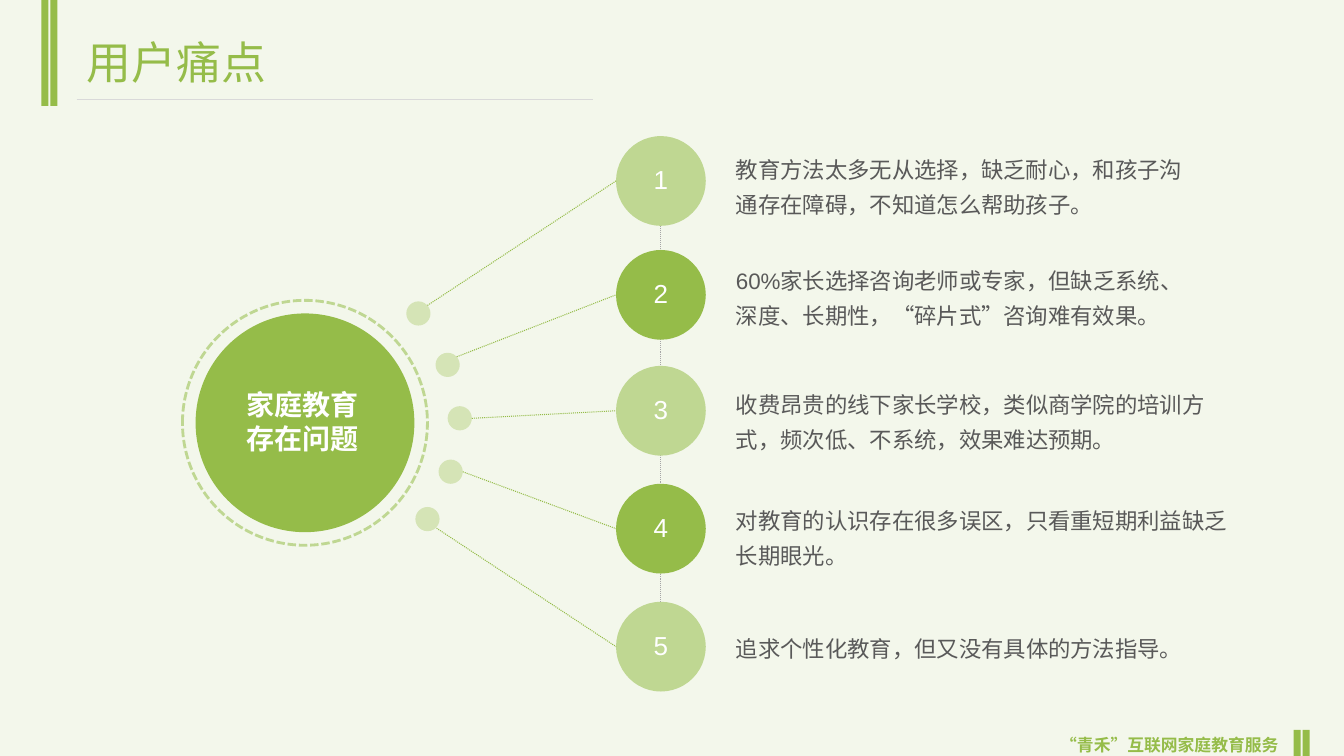
from lxml import etree
from pptx import Presentation
from pptx.dml.color import RGBColor
from pptx.enum.dml import MSO_LINE
from pptx.enum.shapes import MSO_CONNECTOR, MSO_SHAPE
from pptx.enum.text import MSO_ANCHOR, PP_ALIGN
from pptx.oxml.ns import qn
from pptx.util import Inches, Pt

COLORS = {
    "background": "F3F7EB", "green": "95BC49", "light": "BFD792", "pale": "D5E4B6",
    "white": "FFFFFF", "text": "595959", "rule": "D9D9D9", "spine": "A6A6A6",
}
CJK = "Noto Sans CJK SC"

# Top of the numbered circle, top and size of its text, the text itself
POINTS = [
    (1.35, 1.42, 4.8, 0.8, "教育方法太多无从选择，缺乏耐心，和孩子沟通存在障碍，不知道怎么帮助孩子。"),
    (2.48, 2.52, 4.8, 0.8, "60%家长选择咨询老师或专家，但缺乏系统、深度、长期性，“碎片式”咨询难有效果。"),
    (3.63, 3.75, 4.95, 0.8, "收费昂贵的线下家长学校，类似商学院的培训方式，频次低、不系统，效果难达预期。"),
    (4.8, 4.9, 5.09, 0.8, "对教育的认识存在很多误区，只看重短期利益缺乏长期眼光。"),
    (5.97, 6.17, 5.09, 0.45, "追求个性化教育，但又没有具体的方法指导。"),
]
# Left and top of each dot, then where its line leaves it as an offset
DOTS = [
    (4.03, 2.99, 0.21, 0.04), (4.32, 3.5, 0.21, 0.04), (4.44, 4.03, 0.24, 0.12),
    (4.35, 4.56, 0.24, 0.12), (4.12, 5.03, 0.21, 0.21),
]
NUMBER_LEFT, NUMBER_SIZE = 6.11, 0.89


def rgb(name):
    return RGBColor.from_string(COLORS[name])


def add_shape(s, kind, left, top, width, height, fill=None):
    sp = s.shapes.add_shape(kind, Inches(left), Inches(top), Inches(width), Inches(height))
    sp.shadow.inherit = False
    sp.line.fill.background()
    if fill:
        sp.fill.solid()
        sp.fill.fore_color.rgb = rgb(fill)
    else:
        sp.fill.background()
    return sp


def add_line(s, x1, y1, x2, y2, color, dash=None):
    line = s.shapes.add_connector(
        MSO_CONNECTOR.STRAIGHT, Inches(x1), Inches(y1), Inches(x2), Inches(y2))
    line.line.color.rgb = rgb(color)
    line.line.width = Pt(0.75)
    if dash:
        line.line.dash_style = dash
    etree.SubElement(line._element.spPr, qn("a:effectLst"))


def set_text(sp, text, size, color, font="Arial", bold=False, align=PP_ALIGN.LEFT,
             anchor=MSO_ANCHOR.TOP, spacing=1.0):
    tf = sp.text_frame
    tf.word_wrap = True
    tf.vertical_anchor = anchor
    tf.text = text
    for p in tf.paragraphs:
        p.alignment = align
        p.line_spacing = spacing
        p.font.size = Pt(size)
        p.font.bold = bold
        p.font.name = font
        p.font.color.rgb = rgb(color)
        etree.SubElement(p.font._rPr, qn("a:ea")).set("typeface", CJK)


def add_text(s, left, top, width, height, text, size, color, **style):
    box = s.shapes.add_textbox(Inches(left), Inches(top), Inches(width), Inches(height))
    set_text(box, text, size, color, **style)


def add_bars(s, left, top, height):
    """Draw the pair of narrow bars that marks a slide edge."""
    for i in range(2):
        add_shape(s, MSO_SHAPE.RECTANGLE, left + 0.09 * i, top, 0.07, height, "green")


def add_header(s, left, top, width, height):
    add_bars(s, left - 0.35, 0, 1.05)
    title = s.shapes.title
    title.left, title.top = Inches(left), Inches(top)
    title.width, title.height = Inches(width), Inches(height)
    set_text(title, "用户痛点", 32, "green", font="Roboto Condensed", anchor=MSO_ANCHOR.MIDDLE)
    add_line(s, left, top + 0.69, left + 5.12, top + 0.69, "rule")


def add_footer(s, left, top, width, height):
    add_text(s, left, top, width, height, "“青禾”互联网家庭教育服务", 12, "green",
             font=CJK, bold=True, align=PP_ALIGN.RIGHT, spacing=1.3)
    add_bars(s, left + width + 0.05, top + 0.06, 0.26)


def add_hub(s, left, top, size):
    """Draw the central topic: a dashed ring around a labelled disc."""
    ring = add_shape(s, MSO_SHAPE.OVAL, left, top, size, size)
    ring.line.color.rgb = rgb("light")
    ring.line.width = Pt(2)
    ring.line.dash_style = MSO_LINE.SQUARE_DOT
    gap = 0.13
    disc = add_shape(s, MSO_SHAPE.OVAL, left + gap, top + gap,
                     size - 2 * gap, size - 2 * gap, "green")
    disc.text_frame.margin_right = Inches(0.15)
    disc.text_frame.margin_bottom = Inches(0.08)
    set_text(disc, "家庭教育\n存在问题", 20, "white", font=CJK, bold=True,
             align=PP_ALIGN.CENTER, anchor=MSO_ANCHOR.MIDDLE)


def add_points(s, left, size):
    """Draw the numbered column with its texts and the dots that lead to it."""
    middle = left + size / 2
    add_line(s, middle, 1.87, middle, 6.07, "spine", MSO_LINE.ROUND_DOT)
    for i, (top, text_top, width, height, text) in enumerate(POINTS):
        circle = add_shape(s, MSO_SHAPE.OVAL, left, top, size, size,
                           "green" if i % 2 else "light")
        circle.text_frame.margin_bottom = Inches(0.09)
        set_text(circle, str(i + 1), 18.6, "white", align=PP_ALIGN.CENTER,
                 anchor=MSO_ANCHOR.MIDDLE)
        add_text(s, left + 1.09, text_top, width, height, text, 16, "text", spacing=1.3)
        x, y, dx, dy = DOTS[i]
        add_shape(s, MSO_SHAPE.OVAL, x, y, 0.24, 0.24, "pale")
        add_line(s, x + dx, y + dy, left, top + size / 2, "green", MSO_LINE.ROUND_DOT)


def main():
    prs = Presentation()
    prs.slide_width, prs.slide_height = Inches(13.33), Inches(7.5)
    s = prs.slides.add_slide(prs.slide_layouts[5])
    s.background.fill.solid()
    s.background.fill.fore_color.rgb = rgb("background")
    add_header(s, 0.76, 0.3, 8.67, 0.63)
    add_footer(s, 10.14, 7.18, 2.64, 0.34)
    add_hub(s, 1.81, 2.98, 2.43)
    add_points(s, NUMBER_LEFT, NUMBER_SIZE)
    prs.save("out.pptx")


if __name__ == "__main__":
    main()
